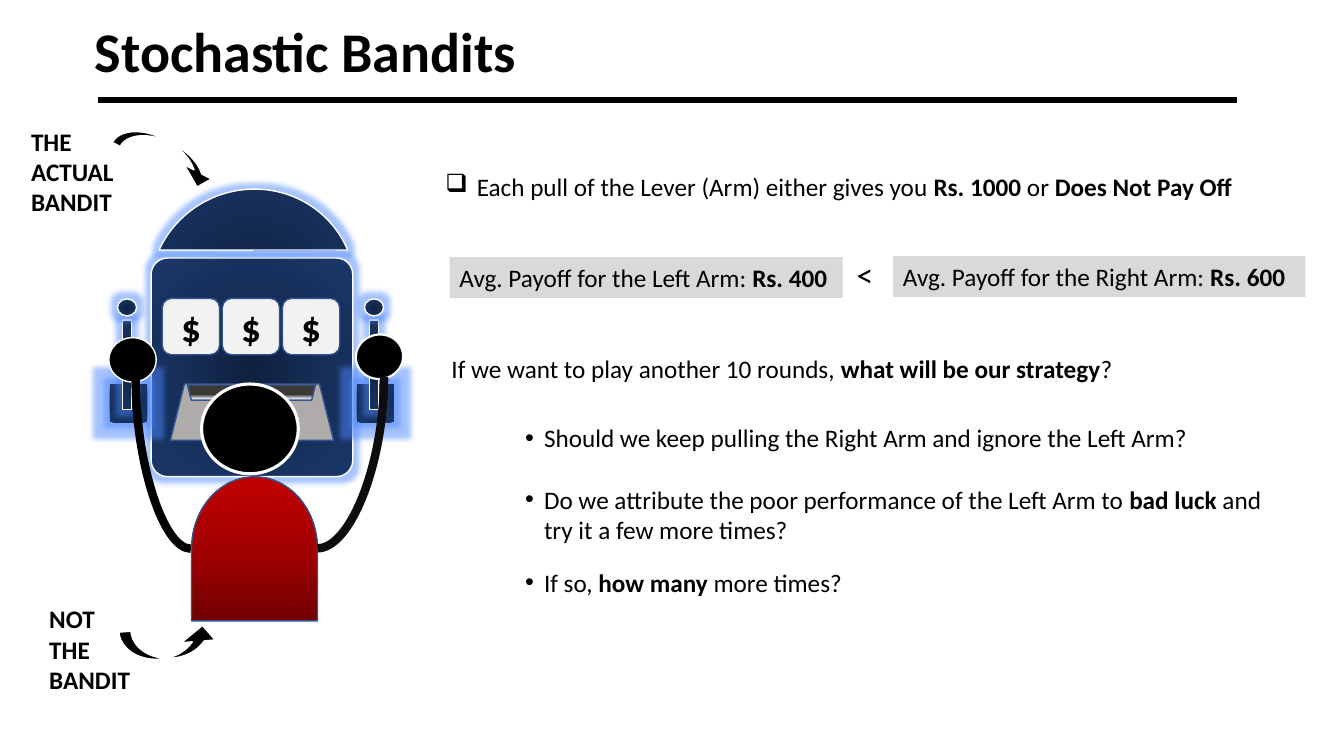
from lxml.etree import SubElement
from pptx import Presentation
from pptx.dml.color import RGBColor
from pptx.enum.shapes import MSO_CONNECTOR, MSO_SHAPE
from pptx.enum.text import MSO_ANCHOR, MSO_AUTO_SIZE, PP_ALIGN
from pptx.oxml.ns import qn
from pptx.util import Pt

BLACK = RGBColor(0x00, 0x00, 0x00)
SLEEVE = RGBColor(0x0D, 0x0D, 0x0D)
WHITE = RGBColor(0xFF, 0xFF, 0xFF)
REEL = RGBColor(0xF2, 0xF2, 0xF2)
TRAY = RGBColor(0xAF, 0xAB, 0xAB)
BOX = RGBColor(0xD9, 0xD9, 0xD9)
EDGE = RGBColor(0x32, 0x54, 0x91)
GLOW = RGBColor(0x4D, 0x88, 0xFF)
# Gradients: stops in percent, then a linear angle, or None for a circle
NAVY = ([(0, RGBColor(0x10, 0x21, 0x3F)), (50, RGBColor(0x16, 0x2E, 0x59)),
         (100, RGBColor(0x1B, 0x37, 0x69))], None)
RED = ([(0, RGBColor(0x72, 0x00, 0x00)), (50, RGBColor(0xA2, 0x00, 0x00)),
        (100, RGBColor(0xC0, 0x00, 0x00))], 0)
STEEL = ([(6, RGBColor(0xF6, 0xF8, 0xFC)), (37, RGBColor(0x3B, 0x38, 0x38))], 90)


def child(parent, tag, **attrs):
    return SubElement(parent, qn(tag), {k: str(v) for k, v in attrs.items()})


class Deck:
    font = "Calibri"
    size = 18

    def __init__(self, width, height):
        self.prs = Presentation()
        self.prs.slide_width, self.prs.slide_height = Pt(width), Pt(height)
        self.slide = self.prs.slides.add_slide(self.prs.slide_layouts[1])
        self.shapes = self.slide.shapes

    def place(self, sp, box):
        sp.left, sp.top, sp.width, sp.height = (Pt(v) for v in box)

    def runs(self, p, parts, size=None, bold=False):
        """Every second part is bold; bold=True makes all of them bold."""
        for i, part in enumerate(parts):
            r = p.add_run()
            r.text = part
            r.font.name, r.font.size = self.font, Pt(size or self.size)
            r.font.bold = bold or i % 2 == 1
            r.font.color.rgb = BLACK
        return p

    def bullet(self, p, char, indent):
        pPr = p._p.get_or_add_pPr()
        pPr.set("marL", str(Pt(indent)))
        pPr.set("indent", str(-Pt(indent)))
        child(pPr, "a:buChar", char=char)

    def title(self, box, text):
        sp = self.slide.shapes.title
        self.place(sp, box)
        tf = sp.text_frame
        tf.auto_size, tf.vertical_anchor = MSO_AUTO_SIZE.NONE, MSO_ANCHOR.MIDDLE
        p = self.runs(tf.paragraphs[0], [text], 40, True)
        p.alignment = PP_ALIGN.LEFT

    def bullets(self, box, items):
        sp = self.slide.placeholders[1]
        self.place(sp, box)
        tf = sp.text_frame
        tf.auto_size, tf.vertical_anchor = MSO_AUTO_SIZE.NONE, MSO_ANCHOR.TOP
        for i, (gap, parts) in enumerate(items):
            p = tf.add_paragraph() if i else tf.paragraphs[0]
            p.space_before = Pt(gap)
            self.bullet(self.runs(p, parts), "•", 13.5)

    def text(self, box, *parts, size=None, bold=False, fill=None, mark=None):
        sp = self.shapes.add_textbox(*(Pt(v) for v in box))
        if fill:
            sp.fill.solid()
            sp.fill.fore_color.rgb = fill
        tf = sp.text_frame
        tf.word_wrap = True
        p = self.runs(tf.paragraphs[0], parts, size, bold)
        if mark:
            self.bullet(p, mark, 22.5)

    def gradient(self, sp, stops, angle):
        sp.fill.gradient()
        grad = sp._element.spPr.find(qn("a:gradFill"))
        for old in list(grad):
            grad.remove(old)
        grad.set("rotWithShape", "1")
        gs_list = child(grad, "a:gsLst")
        for pos, color in stops:
            gs = child(gs_list, "a:gs", pos=pos * 1000)
            child(gs, "a:srgbClr", val=color)
        if angle is None:
            circle = child(grad, "a:path", path="circle")
            child(circle, "a:fillToRect", l=50000, t=50000, r=50000, b=50000)
        else:
            child(grad, "a:lin", ang=angle * 60000, scaled=0)

    def shape(self, kind, box, fill, line=WHITE, width=1, turn=0, adj=(), flip=False):
        sp = self.shapes.add_shape(kind, *(Pt(v) for v in box))
        sp.shadow.inherit = False
        sp.rotation = turn
        for i, value in enumerate(adj):
            sp.adjustments[i] = value
        if flip:
            sp._element.spPr.find(qn("a:xfrm")).set("flipV", "1")
        if isinstance(fill, RGBColor):
            sp.fill.solid()
            sp.fill.fore_color.rgb = fill
        else:
            self.gradient(sp, *fill)
        if line is None:
            sp.line.fill.background()
        else:
            sp.line.color.rgb, sp.line.width = line, Pt(width)
        if fill is NAVY:
            glow = child(sp._element.spPr.find(qn("a:effectLst")), "a:glow", rad=Pt(8))
            child(child(glow, "a:srgbClr", val=GLOW), "a:alpha", val=50000)
        return sp

    def reel(self, box):
        sp = self.shape(MSO_SHAPE.ROUNDED_RECTANGLE, box, REEL, EDGE)
        sp.text_frame.vertical_anchor = MSO_ANCHOR.MIDDLE
        p = self.runs(sp.text_frame.paragraphs[0], ["$"], 28, True)
        p.alignment = PP_ALIGN.CENTER
        rPr = p.runs[0]._r.get_or_add_rPr()
        ln = child(rPr, "a:ln", w=Pt(0.75))
        child(child(ln, "a:solidFill"), "a:srgbClr", val=BLACK)
        rPr.insert(0, ln)

    def line(self, start, end, color, width, curve_turn=None):
        curved = curve_turn is not None
        kind = MSO_CONNECTOR.CURVE if curved else MSO_CONNECTOR.STRAIGHT
        sp = self.shapes.add_connector(kind, *(Pt(v) for v in start + end))
        sp.line.color.rgb, sp.line.width = color, Pt(width)
        spPr = sp._element.spPr
        child(spPr, "a:effectLst")
        if curved:
            spPr.find(qn("a:prstGeom")).set("prst", "curvedConnector2")
            spPr.find(qn("a:xfrm")).set("rot", str(curve_turn * 60000))


def main():
    d = Deck(960, 540)

    # Title and questions
    d.title((60.5, 7.9, 356.4, 55.4), "Stochastic Bandits")
    d.bullets((367.9, 298, 552.2, 148), [
        (0, ["Should we keep pulling the Right Arm and ignore the Left Arm?"]),
        (22.5, ["Do we attribute the poor performance of the Left Arm to ", "bad luck",
                " and try it a few more times?"]),
        (16, ["If so, ", "how many ", "more times?"]),
    ])

    # Slot machine
    d.shapes = d.slide.shapes.add_group_shape().shapes
    d.shape(MSO_SHAPE.CHORD, (106.6, 135.4, 147.6, 144), NAVY, turn=155.2,
            adj=(28.827, 109.079))
    d.shape(MSO_SHAPE.ROUNDED_RECTANGLE, (108, 184.3, 144, 156.2), NAVY, adj=(0.081,))
    for i in range(3):
        d.reel((115.9 + 42.9 * i, 213.1, 41, 40.3))
    d.shape(MSO_SHAPE.TRAPEZOID, (121.7, 274.3, 116.6, 40.3), TRAY, EDGE)

    # Levers with the player's hands
    for x, hand_y, turn, width in ((78.5, 241.2, 0, 1), (254.9, 239, 350, 1.5)):
        d.shape(MSO_SHAPE.RECTANGLE, (x, 274.3, 26.6, 27.4), NAVY, None)
        d.shape(MSO_SHAPE.MATH_MINUS, (x - 31.3, 246.2, 87.1, 28.8), NAVY, turn=90)
        d.shape(MSO_SHAPE.OVAL, (x + 5.4, 213.5, 13.7, 12.2), NAVY)
        d.shape(MSO_SHAPE.OVAL, (x - 0.7, hand_y, 33.8, 31.7), BLACK, WHITE, width, turn)

    # Player
    d.line((177.8, 311), (55.4, 350.6), BLACK, 6, curve_turn=270)
    d.shape(MSO_SHAPE.FLOWCHART_DELAY, (130.3, 347, 103, 90), RED, EDGE, turn=270)
    d.line((189.4, 306.7), (311.8, 354.2), SLEEVE, 6, curve_turn=90)
    d.shape(MSO_SHAPE.TRAPEZOID, (133.9, 275, 91.4, 10.8), STEEL, EDGE, turn=180)
    d.shape(MSO_SHAPE.OVAL, (144, 274.3, 69.1, 64.1), BLACK, WHITE, 2.25)
    d.shapes = d.slide.shapes

    # Payoffs
    d.text((321.1, 183.6, 280.8, 29.1), "Avg. Payoff for the Left Arm: ", "Rs. 400", fill=BOX)
    d.text((637.9, 182.9, 294.5, 29.1), "Avg. Payoff for the Right Arm: ", "Rs. 600", fill=BOX)
    d.text((604.8, 177.8, 33.1, 36), "<", size=24)
    d.text((311, 118.8, 592.6, 29.1), "Each pull of the Lever (Arm) either gives you ",
           "Rs. 1000 ", "or ", "Does Not Pay Off", mark="❑")
    d.text((315.4, 249.1, 513.4, 29.1), "If we want to play another 10 rounds, ",
           "what will be our strategy", "?")

    # Labels with their arrows
    d.text((28.1, 427.7, 73.4, 72.7), "NOT THE BANDIT", bold=True)
    d.text((15.1, 86.4, 79.2, 72.7), "THE ACTUAL BANDIT", bold=True)
    d.shape(MSO_SHAPE.CURVED_LEFT_ARROW, (110.2, 72, 19.4, 79.2), BLACK, turn=297.8,
            adj=(0.321, 1.12, 0.507))
    d.shape(MSO_SHAPE.CURVED_LEFT_ARROW, (110.9, 423.4, 21.6, 72), BLACK, turn=85.4,
            adj=(0.397, 1.12, 0.514), flip=True)

    # Rule under the title
    d.line((69.8, 71.3), (883.4, 71.3), BLACK, 4.5)

    d.prs.save("out.pptx")


if __name__ == "__main__":
    main()
